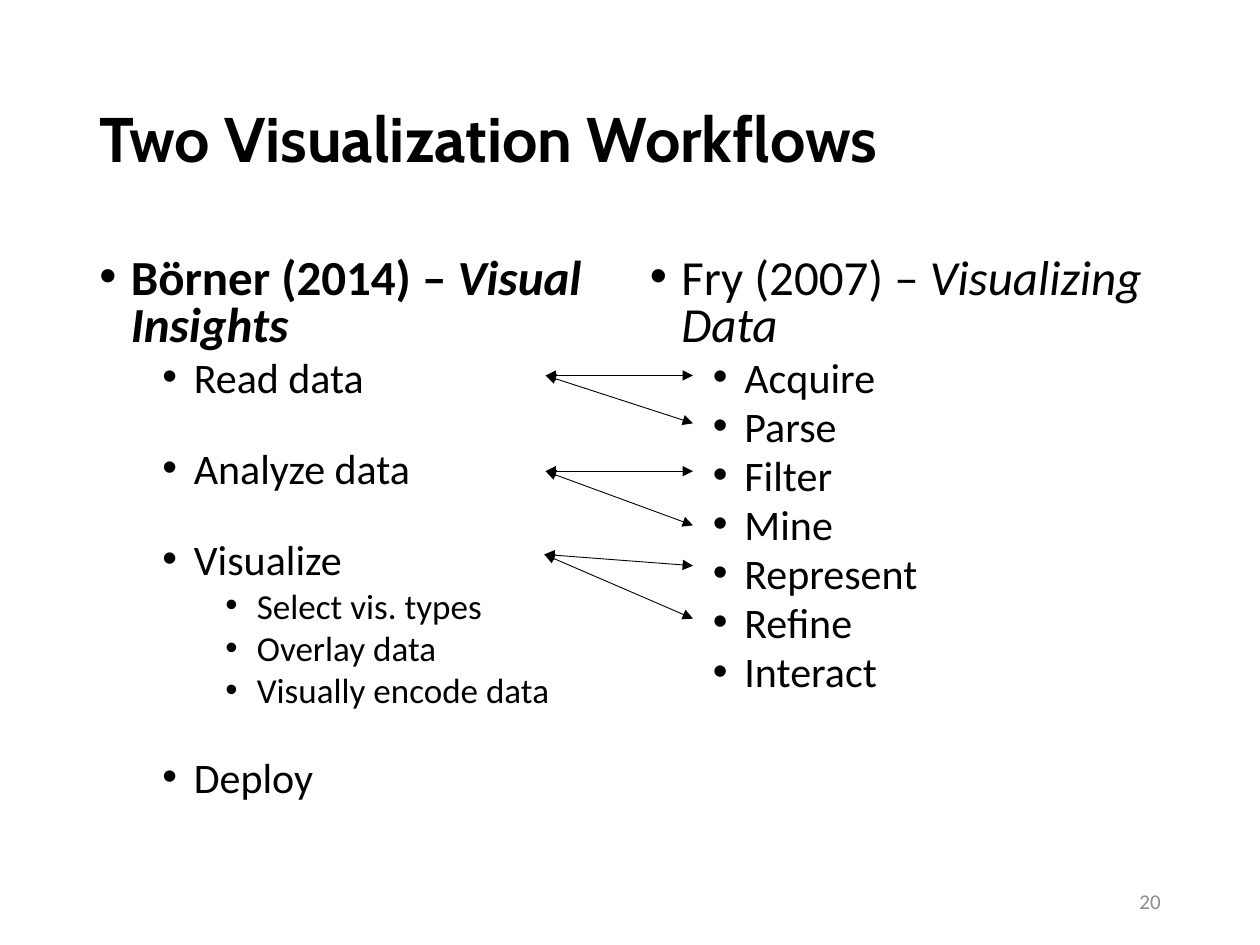
"""Build a slide that maps two visualization workflows onto each other."""
from lxml import etree
from pptx import Presentation
from pptx import util as u
from pptx.dml.color import RGBColor
from pptx.enum import shapes, text
from pptx.oxml.ns import qn

TITLE = "Two Visualization Workflows"
PAGE_NUMBER = "20"
BLACK, GRAY = "000000", "8C8C8C"
SIZES = (28, 24, 20)
GAP = 29

# Each step: level, space before, text
COLUMNS = [
    {
        "left": 0.69, "author": "Börner (2014) – ", "book": "Visual Insights", "bold": True,
        "steps": [
            (1, 5, "Read data"),
            (1, GAP, "Analyze data"),
            (1, GAP, "Visualize"),
            (2, 5, "Select vis. types"),
            (2, 5, "Overlay data"),
            (2, 5, "Visually encode data"),
            (1, GAP, "Deploy"),
        ],
    },
    {
        "left": 5.06, "author": "Fry (2007) – ", "book": "Visualizing Data", "bold": False,
        "steps": [(1, 5, step) for step in (
            "Acquire", "Parse", "Filter", "Mine", "Represent", "Refine", "Interact")],
    },
]
ARROW_END = 5.5
ARROWS = [
    ((4.33, 2.98), (2.98, 3.36)),
    ((4.33, 3.74), (3.74, 4.17)),
    ((4.32, 4.4), (4.49, 4.91)),
]


def color(value):
    return RGBColor.from_string(value)


def add_box(page, left, top, width, height, anchor):
    box = page.shapes.add_textbox(*map(u.Inches, (left, top, width, height)))
    box.text_frame.word_wrap = True
    box.text_frame.vertical_anchor = anchor
    return box.text_frame


def style(span, size, name="Calibri", fill=BLACK, bold=False, italic=False):
    font = span.font
    font.size, font.name, font.bold, font.italic = u.Pt(size), name, bold, italic
    font.color.rgb = color(fill)


def format_bullet(para, level, before):
    para.level = level
    para.line_spacing = 0.8
    para.space_before = u.Pt(before)
    props = para._p.get_or_add_pPr()
    props.set("marL", str(u.Inches(0.25 + 0.5 * level)))
    props.set("indent", str(u.Inches(-0.25)))
    etree.SubElement(props, qn("a:buFont")).set("typeface", "Arial")
    etree.SubElement(props, qn("a:buChar")).set("char", "•")


def add_column(page, column):
    frame = add_box(page, column["left"], 2, 4.25, 4.76, text.MSO_ANCHOR.TOP)
    heading = frame.paragraphs[0]
    format_bullet(heading, 0, 0)
    for words, italic in ((column["author"], False), (column["book"], True)):
        span = heading.add_run()
        span.text = words
        style(span, SIZES[0], bold=column["bold"], italic=italic)
    for level, before, words in column["steps"]:
        para = frame.add_paragraph()
        para.text = words
        format_bullet(para, level, before)
        style(para.runs[0], SIZES[level])


def add_arrow(page, left, top, right, bottom):
    arrow = page.shapes.add_connector(
        shapes.MSO_CONNECTOR.STRAIGHT, *map(u.Inches, (left, top, right, bottom)))
    arrow.line.color.rgb = color(BLACK)
    arrow.line.width = u.Pt(0.5)
    line = arrow.line._get_or_add_ln()
    for end in ("a:headEnd", "a:tailEnd"):
        etree.SubElement(line, qn(end)).set("type", "triangle")
    etree.SubElement(arrow._element.spPr, qn("a:effectLst"))


def main():
    deck = Presentation()
    deck.slide_width, deck.slide_height = u.Inches(10), u.Inches(7.5)
    page = deck.slides.add_slide(deck.slide_layouts[6])

    title = add_box(page, 0.69, 0.4, 8.62, 1.45, text.MSO_ANCHOR.MIDDLE)
    title.text = TITLE
    title.paragraphs[0].line_spacing = 0.9
    style(title.paragraphs[0].runs[0], 36, name="Cabin", bold=True)

    for column in COLUMNS:
        add_column(page, column)

    number = add_box(page, 7.06, 6.95, 2.25, 0.4, text.MSO_ANCHOR.MIDDLE)
    number.text = PAGE_NUMBER
    number.paragraphs[0].alignment = text.PP_ALIGN.RIGHT
    style(number.paragraphs[0].runs[0], 12, fill=GRAY)

    for (left, top), bottoms in ARROWS:
        for bottom in bottoms:
            add_arrow(page, left, top, ARROW_END, bottom)

    deck.save("out.pptx")


if __name__ == "__main__":
    main()
